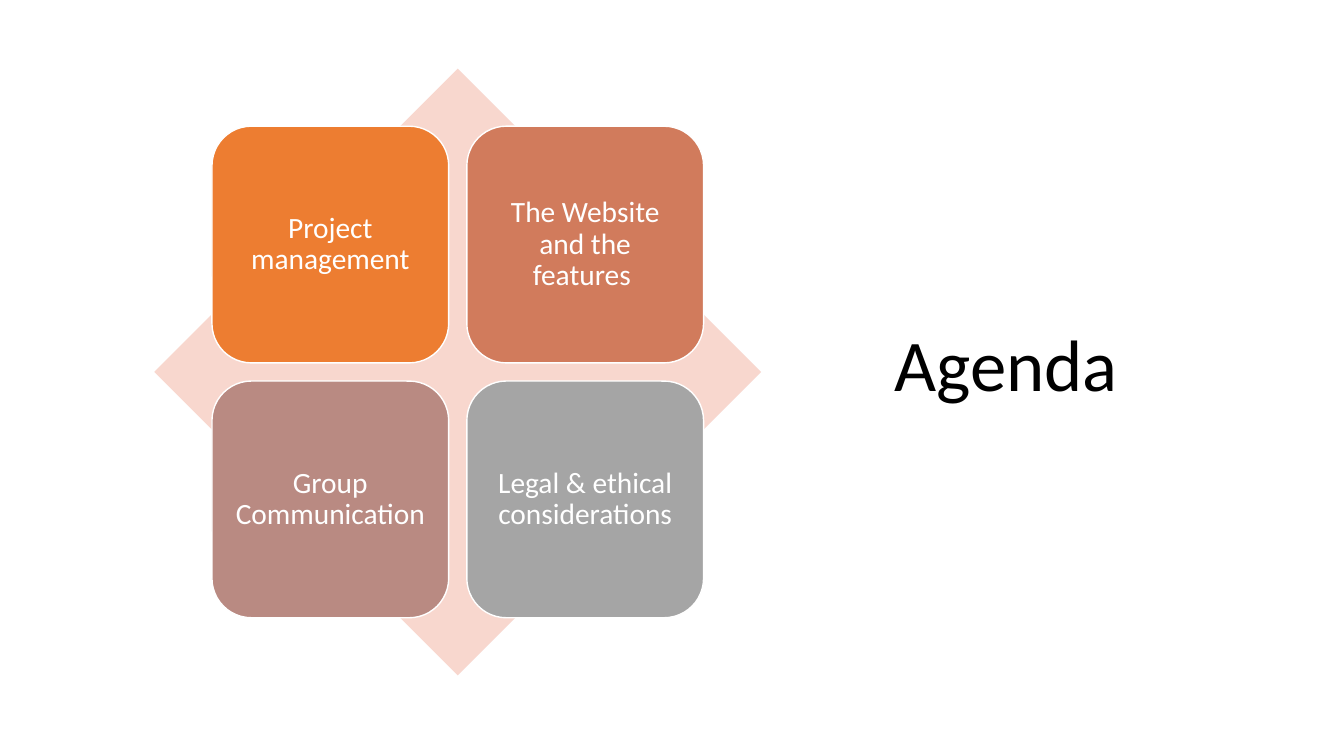
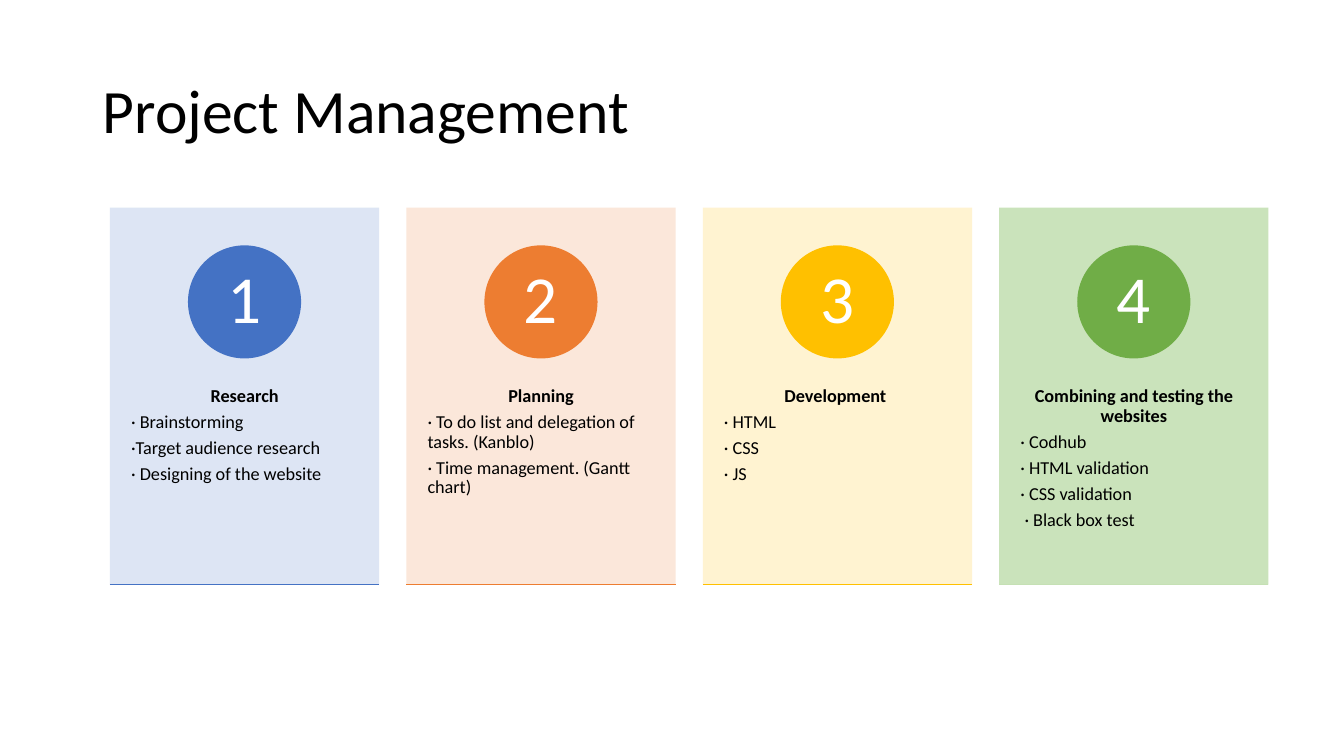
from dataclasses import dataclass

from lxml.etree import SubElement
from pptx import Presentation
from pptx.dml.color import RGBColor
from pptx.enum.shapes import MSO_CONNECTOR, MSO_SHAPE
from pptx.enum.text import MSO_ANCHOR, MSO_AUTO_SIZE, PP_ALIGN
from pptx.oxml.ns import qn
from pptx.util import Inches, Pt


@dataclass(frozen=True)
class Theme:
    """Colours, font and type sizes of the deck."""
    font: str = "Calibri"
    ink: str = "000000"
    paper: str = "FFFFFF"
    frame: str = "F8D7CE"
    cover: int = 52
    title: int = 44
    badge: int = 48
    tile: int = 21
    body: int = 13
    lead: float = 0.9
    after: float = 0.35
    rule: int = 1
    tint: int = 90


@dataclass(frozen=True)
class Box:
    """An area divided into 100 columns and 100 rows."""
    left: float
    top: float
    width: float
    height: float

    def cell(self, col, row, cols, rows):
        """Return the box that covers the given columns and rows."""
        return Box(self.left + self.width * col / 100, self.top + self.height * row / 100,
                   self.width * cols / 100, self.height * rows / 100)

    def place(self):
        """Return left, top, width and height as lengths."""
        return [Inches(n) for n in (self.left, self.top, self.width, self.height)]


THEME = Theme()
PAGE = Box(0, 0, 13.33, 7.5)
TILES = [
    ("Project management", "ED7D31"),
    ("The Website and the features ", "D17B5C"),
    ("Group Communication", "B98A82"),
    ("Legal & ethical considerations", "A5A5A5"),
]
CARDS = [
    ("Research", ["· Brainstorming", "·Target audience research",
                  "· Designing of the website"], "DAE3F3", "4472C4", "4472C4"),
    ("Planning", ["· To do list and delegation of tasks. (Kanblo)",
                  "· Time management. (Gantt chart)"], "FBE5D6", "ED7D31", "ED7D31"),
    ("Development ", ["· HTML", "· CSS", "· JS"], "FFF2CC", "FFC000", "FFC000"),
    ("Combining and testing the websites", ["· Codhub", "· HTML validation", "· CSS validation",
                                            " · Black box test"], "C5E0B4", "70AD47", "C5E0B4"),
]


def write(para, text, size, color=THEME.ink, bold=False, align=PP_ALIGN.LEFT, after=0):
    """Fill a paragraph with one formatted run."""
    para.alignment = align
    para.line_spacing = THEME.lead
    para.space_before = Pt(0)
    para.space_after = Pt(after)
    run = para.add_run()
    run.text = text
    run.font.name = THEME.font
    run.font.size = Pt(size)
    run.font.bold = bold
    run.font.color.rgb = RGBColor.from_string(color)


def setup(frame, pads, anchor=MSO_ANCHOR.MIDDLE):
    """Set the wrapping, anchor and insets of a text frame."""
    frame.word_wrap = True
    frame.auto_size = MSO_AUTO_SIZE.NONE
    frame.vertical_anchor = anchor
    frame.margin_left, frame.margin_top, frame.margin_right, frame.margin_bottom = map(Inches, pads)


def draw(slide, kind, box, fill, line=None, alpha=100):
    """Add a flat preset shape."""
    shape = slide.shapes.add_shape(kind, *box.place())
    shape.shadow.inherit = False
    shape.fill.solid()
    shape.fill.fore_color.rgb = RGBColor.from_string(fill)
    if alpha < 100:
        color = shape.fill._xPr.find(qn("a:solidFill"))[0]
        SubElement(color, qn("a:alpha"), val=str(alpha * 1000))
    if line:
        shape.line.color.rgb = RGBColor.from_string(line)
        shape.line.width = Pt(THEME.rule)
    else:
        shape.line.fill.background()
    return shape


def rule(slide, box, color):
    """Draw a line along the bottom edge of a box."""
    left, top, width, height = box.place()
    line = slide.shapes.add_connector(MSO_CONNECTOR.STRAIGHT, left, top + height,
                                      left + width, top + height)
    line.line.color.rgb = RGBColor.from_string(color)
    line.line.width = Pt(THEME.rule)
    SubElement(line._element.spPr, qn("a:effectLst"))


def start(deck, text, box, size):
    """Add a title-only slide and set its title."""
    slide = deck.slides.add_slide(deck.slide_layouts[5])
    title = slide.shapes.title
    title.left, title.top, title.width, title.height = box.place()
    setup(title.text_frame, (0.1, 0.05, 0.1, 0.05))
    write(title.text_frame.paragraphs[0], text, size)
    return slide


def matrix(slide, box):
    """Draw four tiles in two rows over a diamond."""
    draw(slide, MSO_SHAPE.DIAMOND, box, THEME.frame)
    side, edge = 39, 9.5
    step = 100 - 2 * edge - side
    for i, (text, fill) in enumerate(TILES):
        row, col = divmod(i, 2)
        spot = box.cell(edge + col * step, edge + row * step, side, side)
        tile = draw(slide, MSO_SHAPE.ROUNDED_RECTANGLE, spot, fill, line=THEME.paper)
        setup(tile.text_frame, [0.09] * 4)
        write(tile.text_frame.paragraphs[0], text, THEME.tile, color=THEME.paper,
              align=PP_ALIGN.CENTER)


def card(slide, box, num, head, items, fill, disc, edge):
    """Draw one numbered card with a heading and its items."""
    panel = draw(slide, MSO_SHAPE.RECTANGLE, box, fill, alpha=THEME.tint)
    frame = panel.text_frame
    setup(frame, (0.21, box.height * 0.475, 0.21, 0.36), MSO_ANCHOR.TOP)
    gap = THEME.body * THEME.after
    write(frame.paragraphs[0], head, THEME.body, bold=True, align=PP_ALIGN.CENTER, after=gap)
    for item in items:
        write(frame.add_paragraph(), item, THEME.body, after=gap)
    wide = 30 * box.height / box.width
    badge = draw(slide, MSO_SHAPE.OVAL, box.cell((100 - wide) / 2, 10, wide, 30), disc)
    setup(badge.text_frame, (0.09, 0.01, 0.09, 0.01))
    write(badge.text_frame.paragraphs[0], str(num), THEME.badge, color=THEME.paper,
          align=PP_ALIGN.CENTER)
    rule(slide, box, edge)


def cards(slide, box):
    """Spread the cards evenly across a box."""
    wide = 23.24
    step = (100 - wide) / (len(CARDS) - 1)
    for i, data in enumerate(CARDS):
        card(slide, box.cell(i * step, 0, wide, 100), i + 1, *data)


def main():
    """Build and save the deck."""
    deck = Presentation()
    deck.slide_width, deck.slide_height = PAGE.place()[2:]
    slide = start(deck, "Agenda", PAGE.cell(65.79, 8, 27.38, 81.33), THEME.cover)
    matrix(slide, PAGE.cell(11.48, 9.07, 45.16, 80.27))
    slide = start(deck, "Project Management", PAGE.cell(6.9, 5.33, 86.27, 19.33), THEME.title)
    cards(slide, PAGE.cell(8.18, 27.47, 86.2, 49.87))
    deck.save("out.pptx")


if __name__ == "__main__":
    main()
